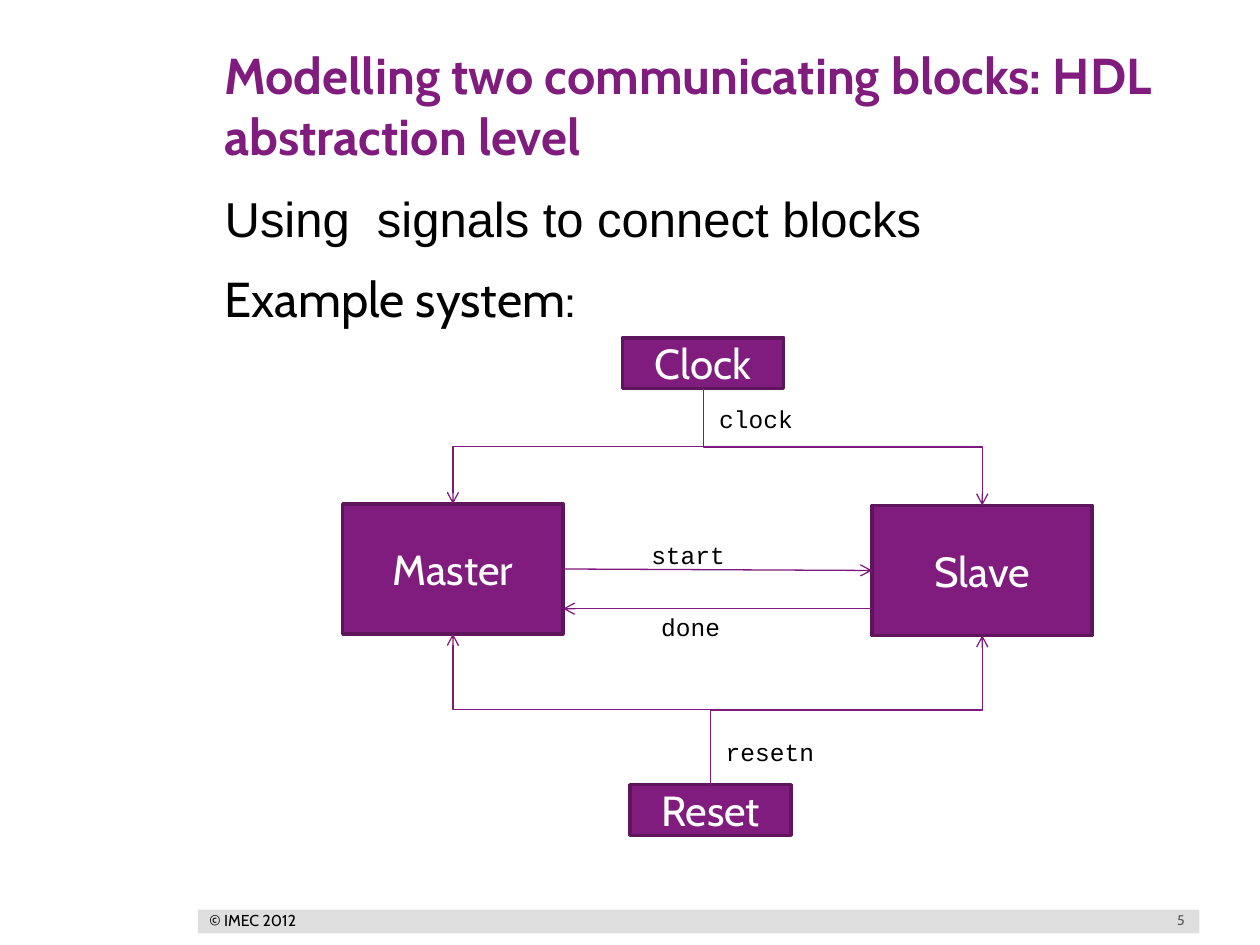
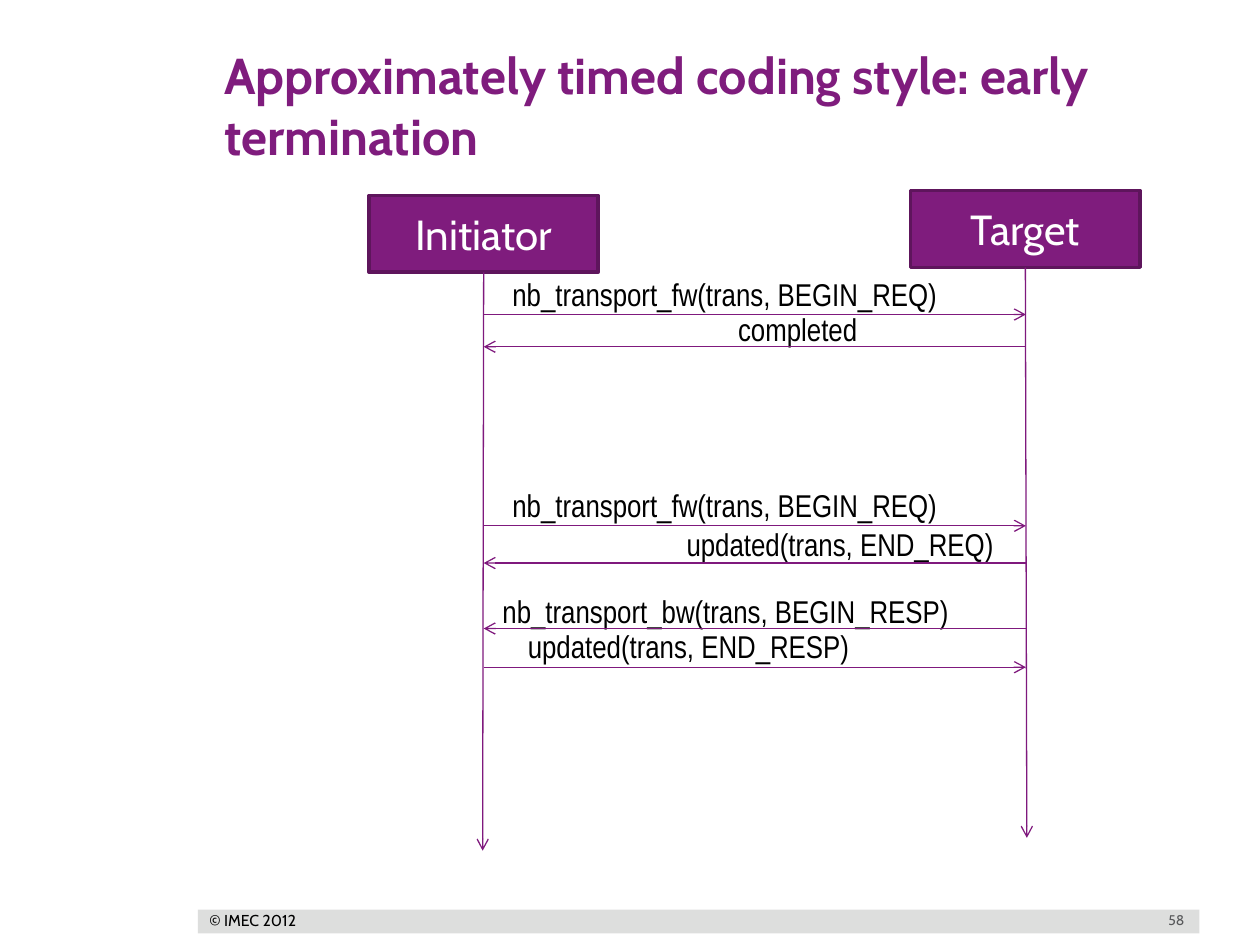
import pptx
import pptx.dml.color
import pptx.enum.shapes
import pptx.enum.text
import pptx.oxml.ns
import pptx.util
from lxml import etree

Cm, Pt = pptx.util.Cm, pptx.util.Pt
ALIGN = pptx.enum.text.PP_ALIGN
ANCHOR = pptx.enum.text.MSO_ANCHOR
CONNECTOR = pptx.enum.shapes.MSO_CONNECTOR

# Shared look
PURPLE, DARK_PURPLE, LINE_PURPLE = "7F1C7D", "5E155C", "7F197D"
BLACK, WHITE, BAND_GREY, PAGE_GREY = "000000", "FFFFFF", "DDDEDD", "58595B"
HEAD_FONT, BODY_FONT = "Cabin", "Arial"
SIGNAL_FONT, MESSAGE_FONT = "Courier New", "Arial Narrow"
TOP, LEFT, BOTTOM, RIGHT = range(4)


def rgb(hex_colour):
    return pptx.dml.color.RGBColor.from_string(hex_colour)


def write(frame, text, font=HEAD_FONT, size=24, colour=BLACK, bold=False,
          align=ALIGN.LEFT, anchor=ANCHOR.TOP, wrap=True, margins=None,
          new_paragraph=False, space_before=None, indent=None):
    """Write one formatted paragraph into a text frame."""
    frame.word_wrap = wrap
    frame.vertical_anchor = anchor
    if margins:
        (frame.margin_left, frame.margin_top,
         frame.margin_right, frame.margin_bottom) = map(Cm, margins)
    paragraph = frame.add_paragraph() if new_paragraph else frame.paragraphs[0]
    paragraph.text = text
    paragraph.alignment = align
    if space_before:
        paragraph.space_before = Pt(space_before)
    if indent:
        paragraph._p.get_or_add_pPr().set("marL", str(Cm(indent)))
    paragraph.font.name = font
    paragraph.font.size = Pt(size)
    paragraph.font.bold = bold
    paragraph.font.color.rgb = rgb(colour)


def add_text(slide, text, left, top, width, height, **text_format):
    box = slide.shapes.add_textbox(Cm(left), Cm(top), Cm(width), Cm(height))
    write(box.text_frame, text, **text_format)
    return box.text_frame


def add_rectangle(slide, left, top, width, height, fill, outline=None):
    rectangle = slide.shapes.add_shape(
        pptx.enum.shapes.MSO_SHAPE.RECTANGLE,
        Cm(left), Cm(top), Cm(width), Cm(height))
    rectangle.shadow.inherit = False
    rectangle.fill.solid()
    rectangle.fill.fore_color.rgb = rgb(fill)
    if outline:
        rectangle.line.color.rgb = rgb(outline)
        rectangle.line.width = Pt(2)
    else:
        rectangle.line.fill.background()
    return rectangle


def add_block(slide, name, left, top, width, height):
    block = add_rectangle(slide, left, top, width, height, PURPLE, DARK_PURPLE)
    write(block.text_frame, name, colour=WHITE, align=ALIGN.CENTER,
          anchor=ANCHOR.MIDDLE)
    return block


def style_arrow(arrow):
    arrow.line.color.rgb = rgb(LINE_PURPLE)
    arrow.line.width = Pt(0.75)
    qn = pptx.oxml.ns.qn
    properties = arrow._element.spPr
    etree.SubElement(properties.find(qn("a:ln")), qn("a:tailEnd"), type="arrow")
    etree.SubElement(properties, qn("a:effectLst"))


def add_arrow(slide, x1, y1, x2, y2, source=None, target=None):
    """Straight arrow; source and target are (block, side) joints."""
    arrow = slide.shapes.add_connector(
        CONNECTOR.STRAIGHT, Cm(x1), Cm(y1), Cm(x2), Cm(y2))
    if source:
        arrow.begin_connect(*source)
    if target:
        arrow.end_connect(*target)
    style_arrow(arrow)


def add_elbow(slide, source, target):
    """Elbow arrow that leaves the source vertically and bends halfway."""
    arrow = slide.shapes.add_connector(CONNECTOR.ELBOW, 0, 0, 0, 0)
    arrow.begin_connect(*source)
    arrow.end_connect(*target)
    across = arrow.end_x - arrow.begin_x
    down = arrow.end_y - arrow.begin_y
    middle_x = (arrow.begin_x + arrow.end_x) // 2
    middle_y = (arrow.begin_y + arrow.end_y) // 2
    # The preset starts horizontally, so it is turned a quarter about its middle
    arrow.width, arrow.height = abs(down), abs(across)
    arrow.left = middle_x - arrow.width // 2
    arrow.top = middle_y - arrow.height // 2
    quarter_turns = 1 if (down > 0) == (across < 0) else 3
    transform = arrow._element.spPr.find(pptx.oxml.ns.qn("a:xfrm"))
    transform.set("rot", str(quarter_turns * 5400000))
    transform.set("flipH", str(int(across > 0)))
    transform.set("flipV", str(int(down < 0)))
    style_arrow(arrow)


def add_titled_slide(deck, title, page):
    slide = deck.slides.add_slide(deck.slide_layouts[5])
    # Footer band
    add_rectangle(slide, 3.99, 18.34, 20.19, 0.48, BAND_GREY)
    add_text(slide, page, 22.76, 18.31, 1.37, 0.48, size=8, colour=PAGE_GREY,
             align=ALIGN.RIGHT, anchor=ANCHOR.MIDDLE)
    add_text(slide, "© IMEC 2012", 4.22, 18.36, 1.78, 0.38, size=9,
             anchor=ANCHOR.MIDDLE, wrap=False, margins=(0, 0, 0, 0))
    # Title
    heading = slide.shapes.title
    heading.left, heading.top = Cm(4.01), Cm(0.76)
    heading.width, heading.height = Cm(20.12), Cm(2.69)
    heading.text_frame.auto_size = pptx.enum.text.MSO_AUTO_SIZE.NONE
    write(heading.text_frame, title, size=28.8, colour=PURPLE, bold=True,
          margins=(0.51, 0.13, 0.25, 0.13))
    return slide


def build_hdl_slide(deck):
    slide = add_titled_slide(
        deck, "Modelling two communicating blocks: HDL abstraction level", "5")
    intro = add_text(slide, "Using  signals to connect blocks",
                     4.01, 3.68, 20.12, 13.34,
                     font=BODY_FONT, size=28, indent=0.27)
    write(intro, "Example system:", size=28, indent=0.27,
          new_paragraph=True, space_before=12)

    # Blocks
    master = add_block(slide, "Master", 6.91, 10.16, 4.44, 2.62)
    reset = add_block(slide, "Reset", 12.7, 15.82, 3.25, 1.02)
    slave = add_block(slide, "Slave", 17.58, 10.19, 4.44, 2.62)
    clock = add_block(slide, "Clock", 12.55, 6.81, 3.25, 1.02)

    # Signals
    for receiver in (master, slave):
        add_elbow(slide, (clock, BOTTOM), (receiver, TOP))
        add_elbow(slide, (reset, TOP), (receiver, BOTTOM))
    add_arrow(slide, 11.35, 11.47, 17.58, 11.5, (master, RIGHT), (slave, LEFT))
    add_arrow(slide, 17.58, 12.27, 11.35, 12.27)
    for signal, left, top in (("start", 12.88, 10.77), ("done", 13.08, 12.22),
                              ("clock", 14.25, 8.03), ("resetn", 14.38, 14.73)):
        add_text(slide, signal, left, top, 3.23, 0.86,
                 font=SIGNAL_FONT, size=14)


def build_termination_slide(deck):
    slide = add_titled_slide(
        deck, "Approximately timed coding style: early termination", "58")
    initiator_x, target_x = 9.75, 20.68

    # Participants and their lifelines
    for name, left, top, end_x, end_y in (
            ("Initiator", 7.44, 3.94, 9.73, 17.15),
            ("Target", 18.36, 3.84, 20.7, 16.89)):
        participant = add_block(slide, name, left, top, 4.62, 1.55)
        add_arrow(slide, end_x, top + 1.55, end_x, end_y,
                  source=(participant, BOTTOM))

    # Messages: text, its left, top and width, arrow height, towards the target
    messages = (
        ("nb_transport_fw(trans, BEGIN_REQ)", 10.08, 5.41, 11.13, 6.34, True),
        ("completed", 14.63, 6.12, 5.99, 6.99, False),
        ("nb_transport_fw(trans, BEGIN_REQ)", 10.08, 9.68, 11.13, 10.6, True),
        ("updated(trans, END_REQ)", 13.59, 10.46, 7.52, 11.35, False),
        ("nb_transport_bw(trans, BEGIN_RESP)", 9.88, 11.81, 10.74, 12.67, False),
        ("updated(trans, END_RESP)", 10.39, 12.52, 10.21, 13.45, True),
    )
    for message, left, top, width, arrow_y, forward in messages:
        add_text(slide, message, left, top, width, 1.02,
                 font=MESSAGE_FONT, size=18)
        start, end = ((initiator_x, target_x) if forward
                      else (target_x, initiator_x))
        add_arrow(slide, start, arrow_y, end, arrow_y)


def main():
    deck = pptx.Presentation()
    deck.slide_width, deck.slide_height = Cm(25.4), Cm(19.05)
    build_hdl_slide(deck)
    build_termination_slide(deck)
    deck.save("out.pptx")


if __name__ == "__main__":
    main()
